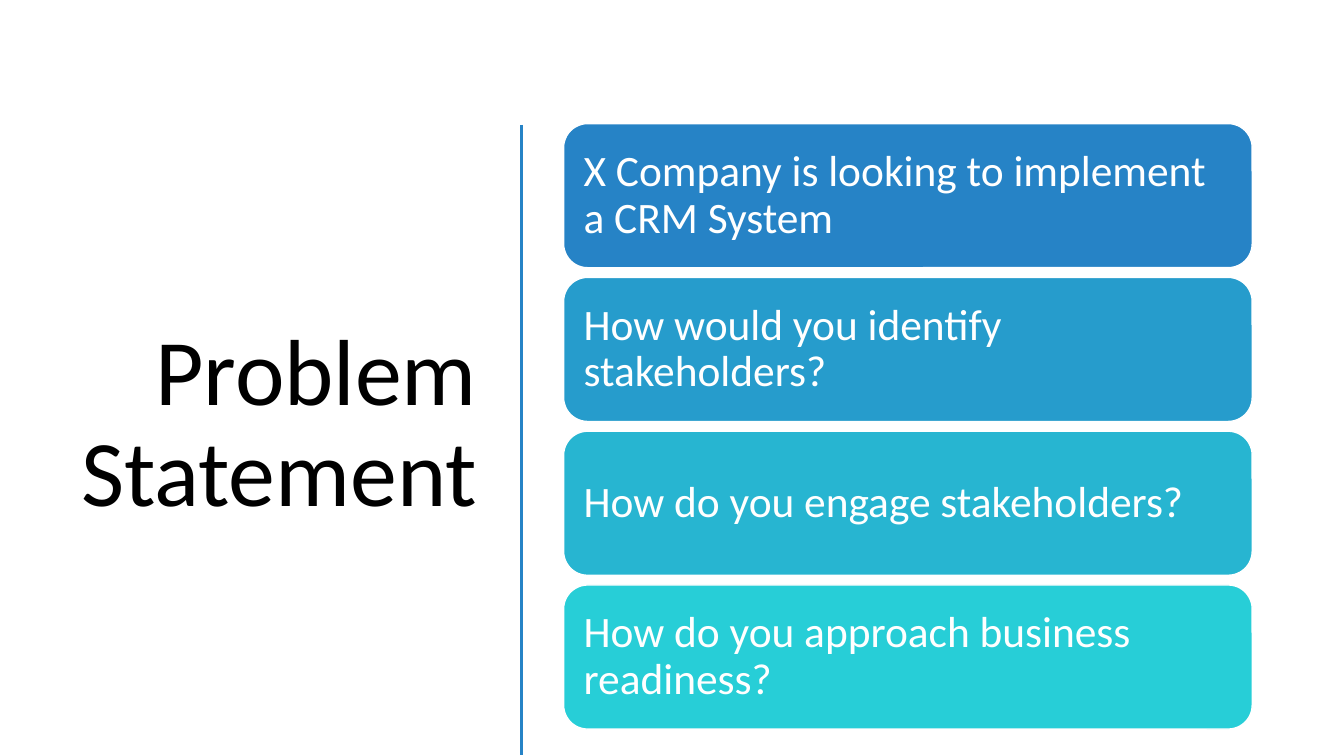
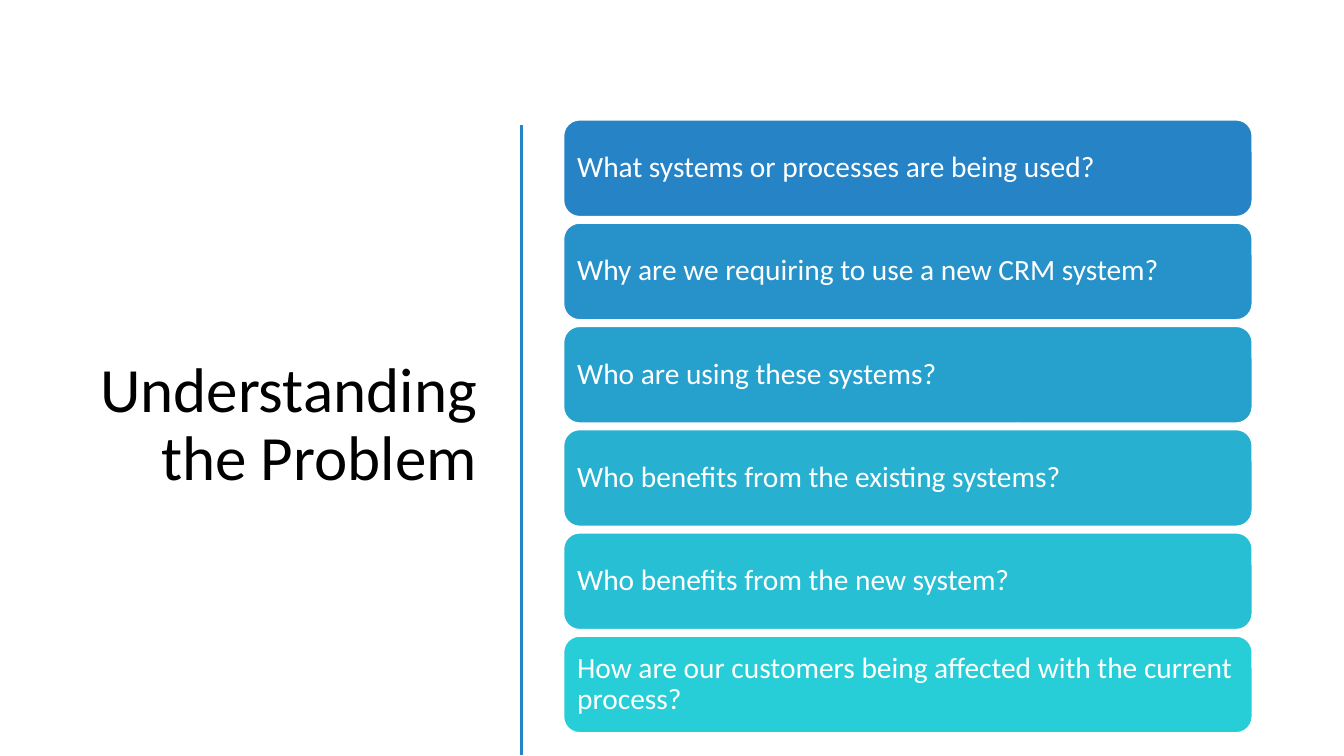
import dataclasses

import pptx
import pptx.util
import pptx.dml.color
import pptx.enum.shapes
import pptx.enum.text
import pptx.oxml

Inches = pptx.util.Inches
Pt = pptx.util.Pt
Align = pptx.enum.text.PP_ALIGN

SLIDES = [
    {"title": "Problem Statement", "title_size": 67, "size": 31, "height": 1.43,
     "cards": ["X Company is looking to implement a CRM System",
               "How would you identify stakeholders?",
               "How do you engage stakeholders?",
               "How do you approach business readiness?"]},
    {"title": "Understanding the Problem", "title_size": 45, "size": 21, "height": 0.96,
     "cards": ["What systems or processes are being used?",
               "Why are we requiring to use a new CRM system?",
               "Who are using these systems?",
               "Who benefits from the existing systems?",
               "Who benefits from the new system?",
               "How are our customers being affected with the current process?"]},
]


@dataclasses.dataclass(frozen=True)
class Theme:
    font: str = "Calibri"
    ink: tuple = (0x00, 0x00, 0x00)
    paper: tuple = (0xFF, 0xFF, 0xFF)
    first: tuple = (0x26, 0x83, 0xC6)
    last: tuple = (0x27, 0xCE, 0xD7)
    rule: float = 2
    edge: float = 1
    spacing: float = 0.9
    inset: float = 0.3     # card margin, as a share of the type size
    gap: float = 0.067     # space between cards, as a share of card height


THEME = Theme()
TITLE_BOX = (0.52, 1.17, 4.31, 6.11)
RULE_X, RULE_TOP, RULE_END = 5.17, 1.24, 7.49
CARD_X, CARD_WIDTH, CARD_MID = 5.59, 6.83, 4.23


def rgb(color):
    return pptx.dml.color.RGBColor(*color)


def blend(part):
    """Return the card colour at a part (0 to 1) of the way down the stack."""
    return tuple(round(a + (b - a) * part) for a, b in zip(THEME.first, THEME.last))


def write(shape, text, size, color, align):
    frame = shape.text_frame
    frame.text = text
    frame.word_wrap = True
    frame.auto_size = pptx.enum.text.MSO_AUTO_SIZE.NONE
    frame.vertical_anchor = pptx.enum.text.MSO_ANCHOR.MIDDLE
    para = frame.paragraphs[0]
    para.alignment = align
    para.line_spacing = THEME.spacing
    font = para.runs[0].font
    font.name = THEME.font
    font.size = Pt(size)
    font.color.rgb = rgb(color)


def add_title(slide, text, size):
    title = slide.shapes.title
    title.left, title.top, title.width, title.height = map(Inches, TITLE_BOX)
    write(title, text, size, THEME.ink, Align.RIGHT)


def add_rule(slide):
    rule = slide.shapes.add_connector(
        pptx.enum.shapes.MSO_CONNECTOR.STRAIGHT,
        *map(Inches, (RULE_X, RULE_TOP, RULE_X, RULE_END)))
    rule.line.color.rgb = rgb(THEME.first)
    rule.line.width = Pt(THEME.rule)
    props = rule._element.spPr
    props.append(pptx.oxml.parse_xml(
        '<a:effectLst xmlns:a="http://schemas.openxmlformats.org/drawingml/2006/main"/>'))


def add_cards(slide, texts, size, height):
    """Stack equal cards around the shared middle height."""
    gap = THEME.gap * height
    count = len(texts)
    top = CARD_MID - (count * height + (count - 1) * gap) / 2
    for i, text in enumerate(texts):
        card = slide.shapes.add_shape(
            pptx.enum.shapes.MSO_SHAPE.ROUNDED_RECTANGLE,
            *map(Inches, (CARD_X, top + i * (height + gap), CARD_WIDTH, height)))
        card.shadow.inherit = False
        card.fill.solid()
        card.fill.fore_color.rgb = rgb(blend(i / (count - 1)))
        card.line.color.rgb = rgb(THEME.paper)
        card.line.width = Pt(THEME.edge)
        write(card, text, size, THEME.paper, Align.LEFT)
        frame = card.text_frame
        frame.margin_left = frame.margin_right = Pt(THEME.inset * size)
        frame.margin_top = frame.margin_bottom = Pt(THEME.inset * size)


def main():
    deck = pptx.Presentation()
    deck.slide_width, deck.slide_height = Inches(13.33), Inches(7.5)
    layout = deck.slide_layouts.get_by_name("Title Only")
    for page in SLIDES:
        slide = deck.slides.add_slide(layout)
        add_title(slide, page["title"], page["title_size"])
        add_rule(slide)
        add_cards(slide, page["cards"], page["size"], page["height"])
    deck.save("out.pptx")


if __name__ == "__main__":
    main()
